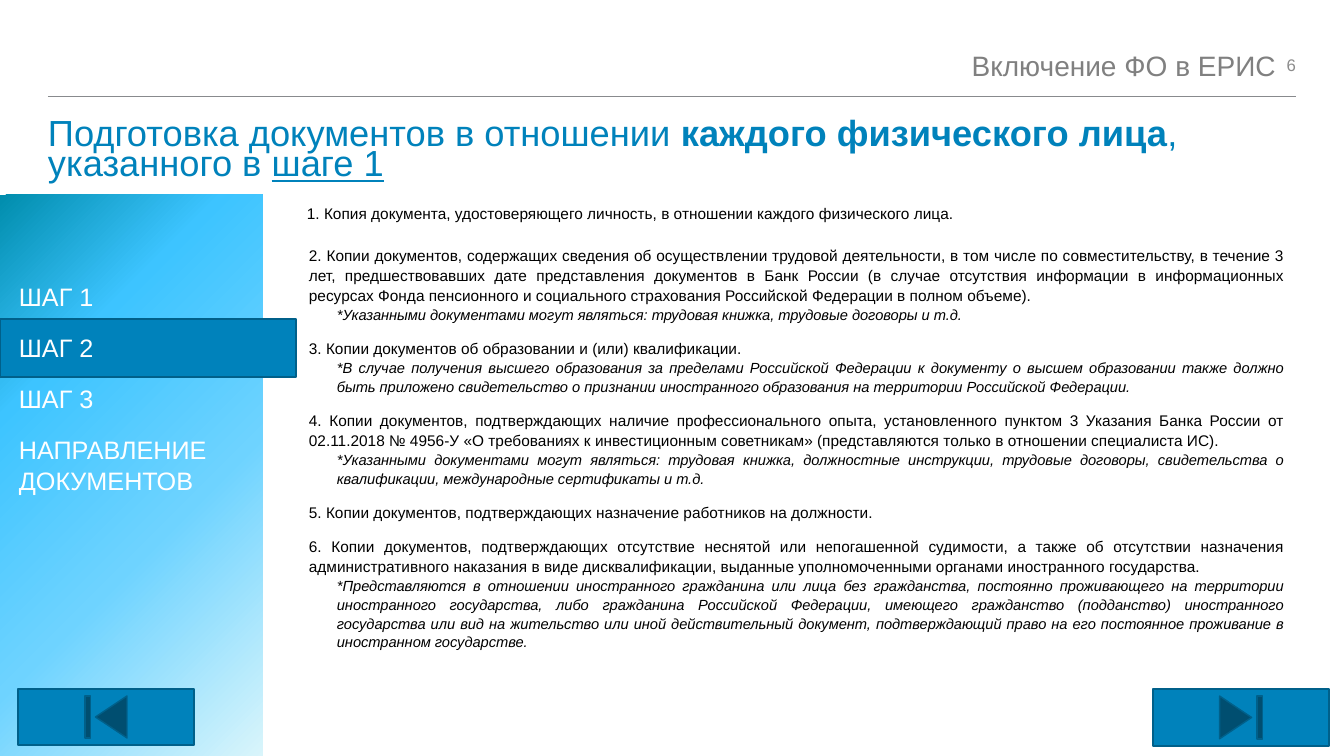
from copy import deepcopy
from dataclasses import dataclass

from lxml import etree
from pptx import Presentation
from pptx.dml.color import RGBColor
from pptx.enum.shapes import MSO_CONNECTOR, MSO_SHAPE
from pptx.enum.text import MSO_ANCHOR, PP_ALIGN
from pptx.oxml.ns import qn
from pptx.util import Pt

PX = 914400 / 100.8
LEFT, RIGHT, JUSTIFY = PP_ALIGN.LEFT, PP_ALIGN.RIGHT, PP_ALIGN.JUSTIFY
TOP, MIDDLE = MSO_ANCHOR.TOP, MSO_ANCHOR.MIDDLE
RECT = MSO_SHAPE.RECTANGLE
TO_END = MSO_SHAPE.ACTION_BUTTON_END
TO_START = MSO_SHAPE.ACTION_BUTTON_BEGINNING
STRAIGHT = MSO_CONNECTOR.STRAIGHT


@dataclass(frozen=True)
class Theme:
    font: str = "Arial"
    black: str = "000000"
    white: str = "FFFFFF"
    grey: str = "808080"
    number: str = "8C8C8C"
    rule: str = "888A8D"
    blue: str = "0082BB"
    edge: str = "00608A"
    panel: tuple = ((0, "008DAD"), (0.27, "3DC4FF"), (0.61, "6ED3FF"), (1, "D9F5FB"))
    title: float = 25.9
    header: float = 20
    step: float = 18
    page: float = 12
    item: float = 11
    note: float = 10.5


class Deck:
    """Draws styled elements on the current slide, in px."""

    def __init__(self, prs, theme):
        self.prs, self.theme = prs, theme
        self.s = prs.slides.add_slide(prs.slide_layouts[6])

    def emu(self, *lengths):
        return [round(n * PX) for n in lengths]

    def line(self, x1, y1, x2, y2, color, width):
        c = self.s.shapes.add_connector(STRAIGHT, *self.emu(x1, y1, x2, y2))
        c.line.color.rgb = RGBColor.from_string(color)
        c.line.width = Pt(width)
        etree.SubElement(c._element.spPr, qn("a:effectLst"))

    def shape(self, kind, box, fill, edge=None):
        sp = self.s.shapes.add_shape(kind, *self.emu(*box))
        sp.shadow.inherit = False
        if isinstance(fill, str):
            sp.fill.solid()
            sp.fill.fore_color.rgb = RGBColor.from_string(fill)
        else:
            self.gradient(sp, fill)
        if edge:
            sp.line.color.rgb = RGBColor.from_string(edge)
            sp.line.width = Pt(1)
        else:
            sp.line.fill.background()

    def gradient(self, sp, stops):
        sp.fill.gradient()
        sp.fill.gradient_angle = 315
        gs_list = sp._element.spPr.find(qn("a:gradFill")).find(qn("a:gsLst"))
        while len(gs_list) < len(stops):
            gs_list.append(deepcopy(gs_list[0]))
        for stop, (position, color) in zip(sp.fill.gradient_stops, stops):
            stop.position = position
            stop.color.rgb = RGBColor.from_string(color)

    def text(self, box, paragraphs, inset=True, anchor=TOP):
        tf = self.s.shapes.add_textbox(*self.emu(*box)).text_frame
        frame = {"word_wrap": True, "vertical_anchor": anchor}
        if not inset:
            frame |= dict.fromkeys(
                ("margin_left", "margin_top", "margin_right", "margin_bottom"), 0)
        for name, value in frame.items():
            setattr(tf, name, value)
        for i, paragraph in enumerate(paragraphs):
            p = tf.paragraphs[0] if i == 0 else tf.add_paragraph()
            self.paragraph(p, **paragraph)

    def paragraph(self, p, runs, size, color, margin=0, hang=0, number=False, **fmt):
        pPr = p._p.get_or_add_pPr()
        left, indent = self.emu(margin, -hang)
        pPr.set("marL", str(left))
        pPr.set("indent", str(indent))
        for name, value in fmt.items():
            setattr(p, name, value)
        if number:
            etree.SubElement(pPr, qn("a:buFont"), typeface=self.theme.font)
            etree.SubElement(pPr, qn("a:buAutoNum"), type="arabicPeriod")
        for words, style in runs:
            r = p.add_run()
            r.text = words
            font = {"name": self.theme.font, "size": Pt(size)} | style
            for name, value in font.items():
                setattr(r.font, name, value)
            r.font.color.rgb = RGBColor.from_string(color)


STEPS = ["ШАГ 1", "ШАГ 2", "ШАГ 3", "НАПРАВЛЕНИЕ ДОКУМЕНТОВ"]

DOCUMENTS = [
    (" Копия документа, удостоверяющего личность, в отношении каждого физического лица.", None),
    ("2. Копии документов, содержащих сведения об осуществлении трудовой деятельности, "
     "в том числе по совместительству, в течение 3 лет, предшествовавших дате представления "
     "документов в Банк России (в случае отсутствия информации в информационных ресурсах "
     "Фонда пенсионного и социального страхования Российской Федерации в полном объеме).",
     "*Указанными документами могут являться: трудовая книжка, трудовые договоры и т.д."),
    ("3. Копии документов об образовании и (или) квалификации.",
     "*В случае получения высшего образования за пределами Российской Федерации к документу "
     "о высшем образовании также должно быть приложено свидетельство о признании "
     "иностранного образования на территории Российской Федерации."),
    ("4. Копии документов, подтверждающих наличие профессионального опыта, "
     "установленного пунктом 3 Указания Банка России от 02.11.2018 № 4956-У "
     "«О требованиях к инвестиционным советникам» (представляются только в отношении "
     "специалиста ИС).",
     "*Указанными документами могут являться: трудовая книжка, должностные инструкции, "
     "трудовые договоры, свидетельства о квалификации, международные сертификаты и т.д."),
    ("5. Копии документов, подтверждающих назначение работников на должности.", None),
    ("6. Копии документов, подтверждающих отсутствие неснятой или непогашенной судимости, "
     "а также об отсутствии назначения административного наказания в виде дисквалификации, "
     "выданные уполномоченными органами иностранного государства.",
     "*Представляются в отношении иностранного гражданина или лица без гражданства, "
     "постоянно проживающего на территории иностранного государства, либо гражданина "
     "Российской Федерации, имеющего гражданство (подданство) иностранного государства или "
     "вид на жительство или иной действительный документ, подтверждающий право на его "
     "постоянное проживание в иностранном государстве."),
]


def document_paragraphs(t):
    base = {"color": t.black, "alignment": JUSTIFY, "line_spacing": 1.07}
    paragraphs = []
    for i, (item, note) in enumerate(DOCUMENTS):
        first = i == 0
        gap = {0: 0, 1: 16}.get(i, 10.4)
        paragraphs.append(base | {
            "runs": [(item, {})], "size": t.item, "margin": 12,
            "hang": 2 if first else 0, "number": first, "space_before": Pt(gap)})
        if note:
            paragraphs.append(base | {
                "runs": [(note, {"italic": True})], "size": t.note, "margin": 40})
    return paragraphs


def main():
    prs = Presentation()
    prs.slide_width, prs.slide_height = round(1344 * PX), round(756 * PX)
    t = Theme()
    deck = Deck(prs, t)

    deck.line(48, 96, 1296, 96, t.rule, 0.5)
    deck.text((27, 45, 1249, 67), [{
        "runs": [("Включение ФО в ЕРИС", {})], "size": t.header, "color": t.grey,
        "alignment": RIGHT, "line_spacing": 1.1}], inset=False)
    deck.text((1214, 47, 82, 35), [{
        "runs": [("6", {})], "size": t.page, "color": t.number,
        "alignment": RIGHT}], inset=False, anchor=MIDDLE)
    deck.text((48, 122, 1248, 67), [{
        "runs": [("Подготовка документов в отношении ", {}),
                 ("каждого физического лица", {"bold": True}),
                 (", указанного в ", {}),
                 ("шаге 1", {"underline": True})],
        "size": t.title, "color": t.blue, "line_spacing": 0.7}], inset=False)

    deck.shape(RECT, (0, 195, 263, 561), t.panel)
    deck.shape(RECT, (0, 319, 296, 58), t.blue, t.edge)
    deck.text((9, 276, 254, 227), [{
        "runs": [(step, {})], "size": t.step, "color": t.white,
        "alignment": LEFT, "space_after": Pt(15)} for step in STEPS])
    deck.text((287, 198, 1008, 528), document_paragraphs(t))
    deck.shape(TO_END, (1153, 689, 176, 57), t.blue, t.edge)
    deck.shape(TO_START, (18, 689, 176, 56), t.blue, t.edge)

    prs.save("out.pptx")


if __name__ == "__main__":
    main()
